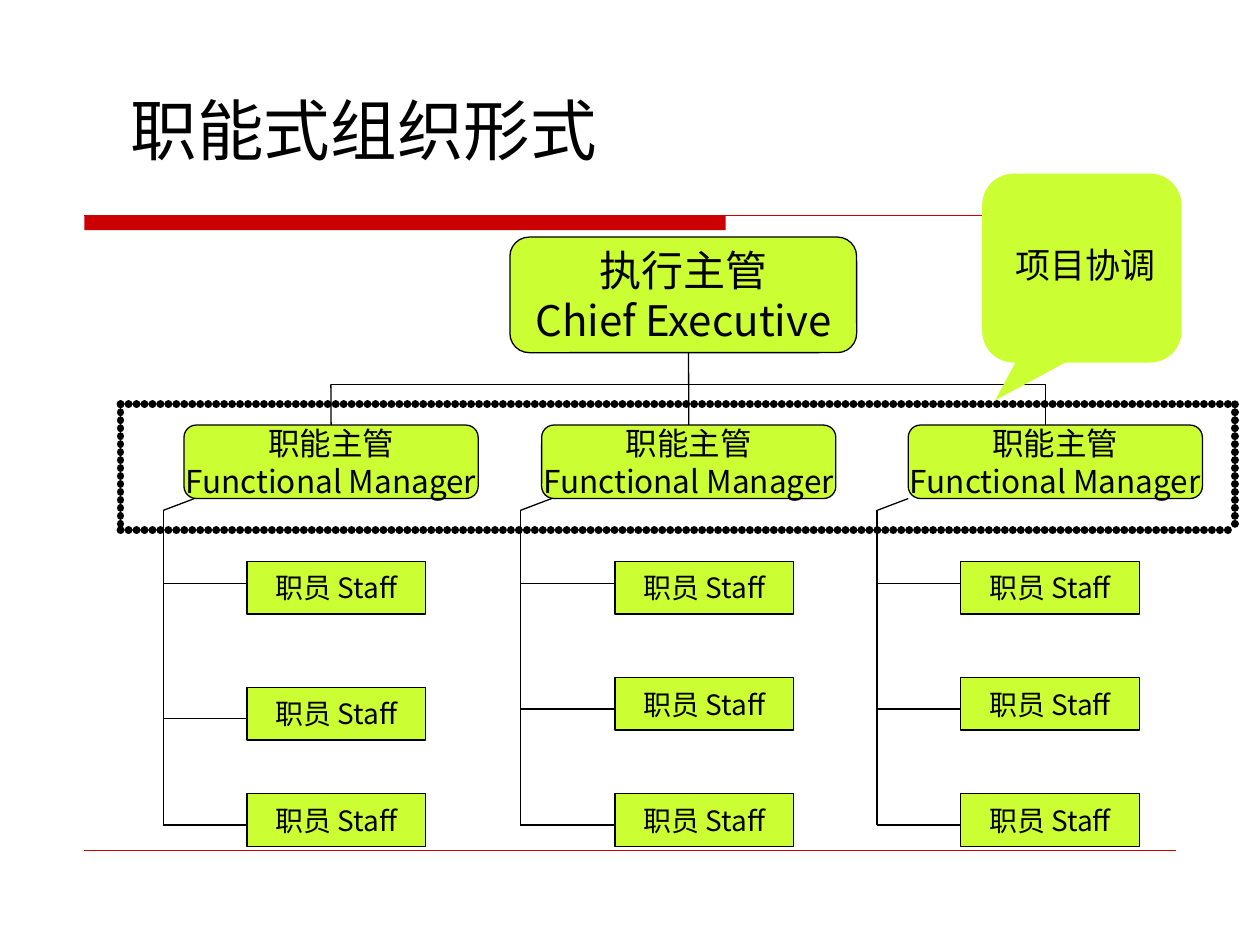
from lxml import etree
from pptx import Presentation
from pptx.dml.color import RGBColor
from pptx.enum.shapes import MSO_CONNECTOR, MSO_SHAPE as SHAPE
from pptx.enum.text import MSO_ANCHOR as ANCHOR, PP_ALIGN as ALIGN
from pptx.oxml.ns import qn
from pptx.util import Cm, Pt

BLACK, RED, LIME = "000000", "CC0000", "CCFF33"
color = RGBColor.from_string


def add_line(x1, y1, x2, y2, stroke=BLACK, width=0.75):
    line = slide.shapes.add_connector(
        MSO_CONNECTOR.STRAIGHT, Cm(x1), Cm(y1), Cm(x2), Cm(y2))
    line.line.color.rgb = color(stroke)
    line.line.width = Pt(width)
    etree.SubElement(line._element.spPr, qn("a:effectLst"))
    return line


def write(shape, text, size, align, anchor, font="Noto Sans CJK SC"):
    """Fill a shape with text, using the font for Latin and Chinese alike."""
    frame = shape.text_frame
    frame.text = text
    frame.vertical_anchor = anchor
    for paragraph in frame.paragraphs:
        paragraph.alignment = align
        for run in paragraph.runs:
            run.font.size = Pt(size)
            run.font.color.rgb = color(BLACK)
            run.font.name = font
            etree.SubElement(run._r.rPr, qn("a:ea"), typeface=font)


prs = Presentation()
prs.slide_width, prs.slide_height = Cm(25.4), Cm(19.05)
slide = prs.slides.add_slide(prs.slide_layouts[6])

# Title and red rules
title_bar = slide.shapes.add_shape(
    SHAPE.RECTANGLE, Cm(1.7), Cm(4.34), Cm(12.93), Cm(0.3))
title_bar.shadow.inherit = False
title_bar.fill.solid()
title_bar.fill.fore_color.rgb = color(RED)
title_bar.line.fill.background()
add_line(1.7, 4.34, 23.8, 4.34, RED)
add_line(1.7, 17.15, 23.7, 17.15, RED, 0.25)

title = slide.shapes.add_textbox(Cm(2.39), Cm(0.84), Cm(20.22), Cm(2.69))
title.text_frame.word_wrap = True
write(title, "职能式组织形式", 38, ALIGN.LEFT, ANCHOR.BOTTOM, "Noto Sans CJK JP")

# Columns: manager left, trunk x, staff left, staff tops
columns = [
    (3.71, 3.29, 4.98, (11.32, 13.86, 16)),
    (10.92, 10.49, 12.4, (11.32, 13.66, 16)),
    (18.31, 17.68, 19.37, (11.32, 13.66, 16)),
]
manager_top, manager_width, manager_height = 8.57, 5.93, 1.48
manager_bottom = manager_top + manager_height

positions = [(SHAPE.ROUNDED_RECTANGLE, 10.28, 4.78, 6.99, 2.33,
              "执行主管\nChief Executive", 24)]
for manager_left, _, staff_left, staff_tops in columns:
    positions.append((SHAPE.ROUNDED_RECTANGLE, manager_left, manager_top,
                      manager_width, manager_height,
                      "职能主管\nFunctional Manager", 18))
    for staff_top in staff_tops:
        positions.append((SHAPE.RECTANGLE, staff_left, staff_top, 3.6, 1.06,
                          "职员 Staff", 16))

managers = []
for outline, left, top, width, height, role, size in positions:
    position = slide.shapes.add_shape(
        outline, Cm(left), Cm(top), Cm(width), Cm(height))
    position.shadow.inherit = False
    position.fill.solid()
    position.fill.fore_color.rgb = color(LIME)
    position.line.color.rgb = color(BLACK)
    position.line.width = Pt(0.75)
    position.text_frame.word_wrap = False
    write(position, role, size, ALIGN.CENTER, ANCHOR.MIDDLE)
    if size == 18:
        managers.append(position)

# Reporting lines from the executive to the managers
bus_y = 7.75
first_x, middle_x, last_x = 6.67, 13.88, 21.08
add_line(first_x, bus_y, last_x, bus_y)
add_line(middle_x, 7.11, middle_x, manager_top).end_connect(managers[1], 0)
add_line(first_x, bus_y, first_x, manager_top).end_connect(managers[0], 0)
add_line(last_x, bus_y, last_x, manager_top)

# Reporting lines from the managers to their staff
trunk_top = 10.29
for _, trunk_x, staff_left, staff_tops in columns:
    branches = [top + drop for top, drop in zip(staff_tops, (0.44, 0.63, 0.63))]
    add_line(trunk_x + 0.63, manager_bottom, trunk_x, trunk_top)
    add_line(trunk_x, trunk_top, trunk_x, branches[-1])
    for branch_y in branches:
        add_line(trunk_x, branch_y, staff_left, branch_y)

# Dotted frame around the managers
left, top, right, bottom = 2.43, 8.15, 24.89, 10.69
for ends in [(left, bottom, right, bottom), (left, top, right, top),
             (left, top, left, bottom), (right, top, right, bottom)]:
    stroke = add_line(*ends, width=4.5).line._get_or_add_ln()
    stroke.set("cap", "rnd")
    dots = etree.SubElement(stroke, qn("a:custDash"))
    etree.SubElement(dots, qn("a:ds"), d="1000", sp="100000")

# Coordination callout
coordination = slide.shapes.add_group_shape()
bubble = coordination.shapes.add_shape(
    SHAPE.ROUNDED_RECTANGULAR_CALLOUT, Cm(19.8), Cm(3.5), Cm(4.02), Cm(3.81))
for index, adjustment in enumerate((-0.435, 0.7, 0.167)):
    bubble.adjustments[index] = adjustment
label = coordination.shapes.add_shape(
    SHAPE.RECTANGLE, Cm(20.22), Cm(4.78), Cm(3.33), Cm(1.12))
for part in (bubble, label):
    part.shadow.inherit = False
    part.fill.solid()
    part.fill.fore_color.rgb = color(LIME)
    part.line.fill.background()
label.text_frame.word_wrap = False
write(label, "项目协调", 20, ALIGN.LEFT, ANCHOR.TOP)

prs.save("out.pptx")
